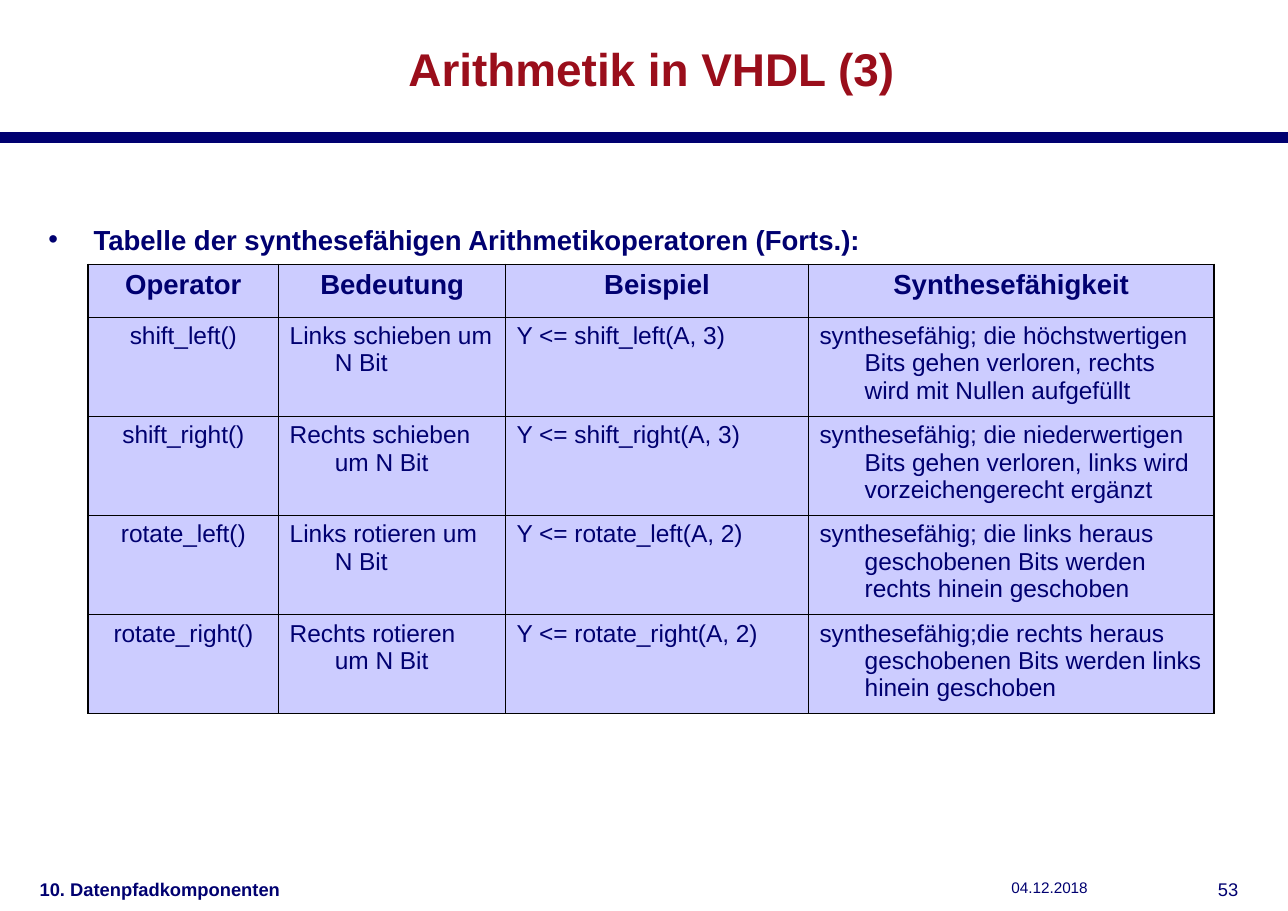
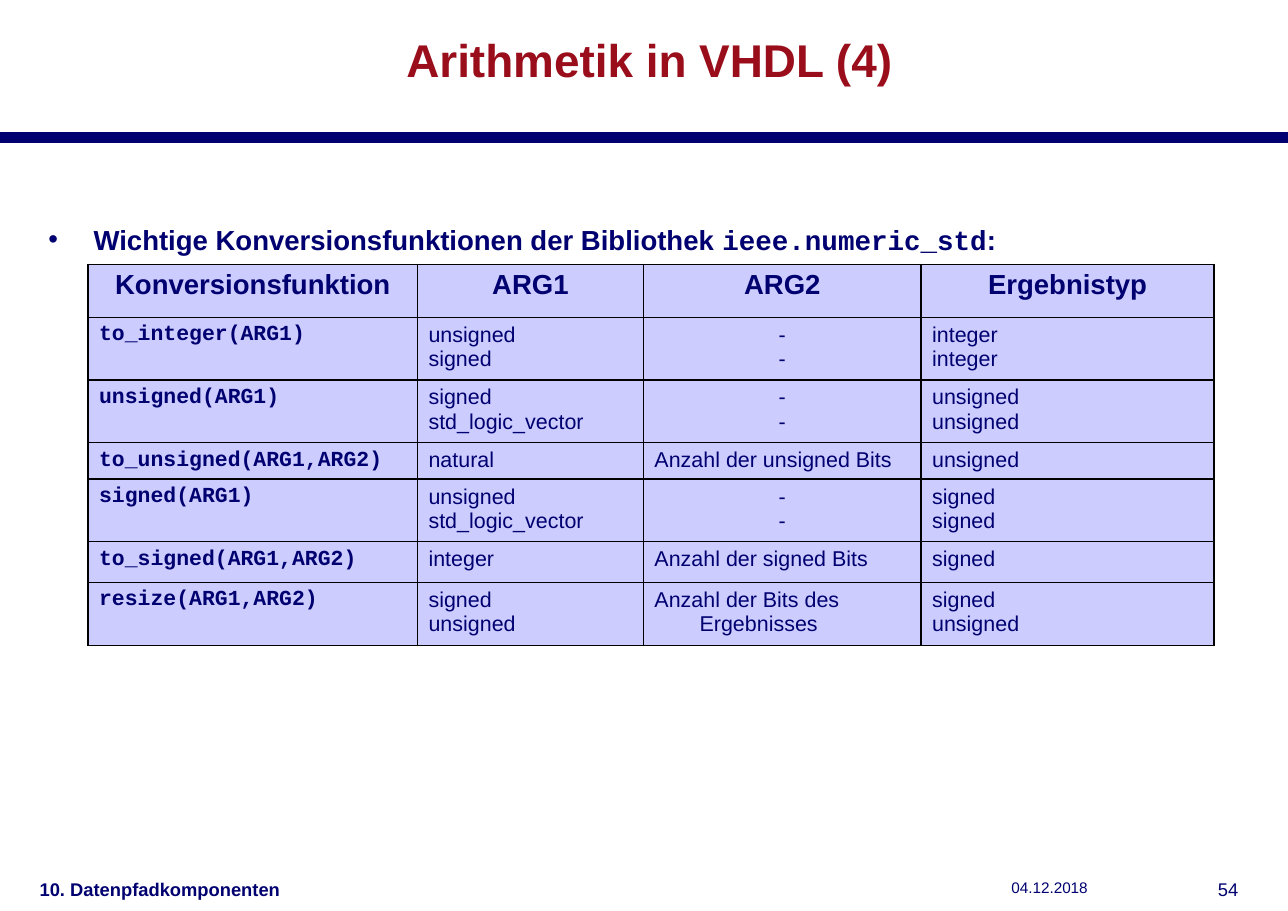
from dataclasses import dataclass

from lxml import etree
from pptx import Presentation
from pptx.dml.color import RGBColor
from pptx.enum.shapes import MSO_CONNECTOR
from pptx.enum.text import MSO_ANCHOR, MSO_AUTO_SIZE, PP_ALIGN
from pptx.oxml.ns import qn
from pptx.util import Inches, Pt

LEFT, CENTER, RIGHT = PP_ALIGN.LEFT, PP_ALIGN.CENTER, PP_ALIGN.RIGHT
TOP, MIDDLE = MSO_ANCHOR.TOP, MSO_ANCHOR.MIDDLE
NO_AUTOFIT = MSO_AUTO_SIZE.NONE
STRAIGHT = MSO_CONNECTOR.STRAIGHT

COLORS = {"navy": "000070", "title": "9A0E1B", "cell": "CCCCFF", "border": "000000"}
SANS, MONO = "Arial", "Courier New"
SLIDE_W, SLIDE_H = Inches(11.69), Inches(8.27)
HANGING = Inches(0.41)
BAND_Y = 15.11
HEADER_ROW = 5.8
TITLE_ONLY = 5


@dataclass(frozen=True)
class Box:
    """Position and size in percent of the slide."""
    left: float
    top: float
    width: float
    height: float


@dataclass(frozen=True)
class Style:
    size: float
    bold: bool = False
    face: str = SANS
    color: str = "navy"
    align: int = LEFT


@dataclass(frozen=True)
class Lesson:
    """One slide: title, heading (text, face) parts and an operator table."""
    title: str
    title_left: float
    title_top: float
    heading: list[tuple[str, str]]
    columns: list[float]
    row_heights: list[float]
    names: Style
    body: Style
    header: list[str]
    rows: list[list[str]]


TITLE_STYLE = Style(30, bold=True, color="title", align=CENTER)
HEADING_STYLE = Style(18, bold=True)
HEADER_STYLE = Style(18, bold=True, align=CENTER)
HEADING_BOX = Box(2.82, 23.34, 95.55, 9.55)
TABLE_LEFT, TABLE_TOP = 6.84, 29.02

FOOTER = [
    (Box(77.59, 95.77, 14.11, 4.23), "04.12.2018", Style(10)),
    (Box(2.14, 95.77, 28.31, 4.23), "10. Datenpfadkomponenten", Style(12, bold=True)),
]
PAGE_BOX, PAGE_STYLE, FIRST_PAGE = Box(93.07, 95.77, 4.02, 4.23), Style(12, align=RIGHT), 53

LESSONS = [
    Lesson(
        "Arithmetik in VHDL (3)", 2.82, 3.39,
        [("Tabelle der synthesefähigen Arithmetikoperatoren (Forts.):", SANS)],
        columns=[14.8, 17.62, 23.52, 31.48],
        row_heights=[10.88] * 4,
        names=Style(16, align=CENTER),
        body=Style(16),
        header=["Operator", "Bedeutung", "Beispiel", "Synthesefähigkeit"],
        rows=[
            ["shift_left()", "Links schieben um N Bit", "Y <= shift_left(A, 3)",
             "synthesefähig; die höchstwertigen Bits gehen verloren, "
             "rechts wird mit Nullen aufgefüllt"],
            ["shift_right()", "Rechts schieben um N Bit", "Y <= shift_right(A, 3)",
             "synthesefähig; die niederwertigen Bits gehen verloren, "
             "links wird vorzeichengerecht ergänzt"],
            ["rotate_left()", "Links rotieren um N Bit", "Y <= rotate_left(A, 2)",
             "synthesefähig; die links heraus geschobenen Bits werden "
             "rechts hinein geschoben"],
            ["rotate_right()", "Rechts rotieren um N Bit", "Y <= rotate_right(A, 2)",
             "synthesefähig;die rechts heraus geschobenen Bits werden "
             "links hinein geschoben"],
        ],
    ),
    Lesson(
        "Arithmetik in VHDL (4)", 2.65, 2.42,
        [("Wichtige Konversionsfunktionen der Bibliothek ", SANS),
         ("ieee.numeric_std", MONO), (":", SANS)],
        columns=[25.58, 17.54, 21.56, 22.75],
        row_heights=[6.89, 6.89, 3.99, 6.89, 4.47, 6.89],
        names=Style(14, bold=True, face=MONO),
        body=Style(14),
        header=["Konversionsfunktion", "ARG1", "ARG2", "Ergebnistyp"],
        rows=[
            ["to_integer(ARG1)", "unsigned\nsigned", "-\n-", "integer\ninteger"],
            ["unsigned(ARG1)", "signed\nstd_logic_vector", "-\n-", "unsigned\nunsigned"],
            ["to_unsigned(ARG1,ARG2)", "natural", "Anzahl der unsigned Bits", "unsigned"],
            ["signed(ARG1)", "unsigned\nstd_logic_vector", "-\n-", "signed\nsigned"],
            ["to_signed(ARG1,ARG2)", "integer", "Anzahl der signed Bits", "signed"],
            ["resize(ARG1,ARG2)", "signed\nunsigned", "Anzahl der Bits des Ergebnisses",
             "signed\nunsigned"],
        ],
    ),
]


def across(percent: float) -> int:
    return round(SLIDE_W * percent / 100)


def down(percent: float) -> int:
    return round(SLIDE_H * percent / 100)


def place(box: Box) -> tuple[int, int, int, int]:
    return across(box.left), down(box.top), across(box.width), down(box.height)


def rgb(name: str) -> RGBColor:
    return RGBColor.from_string(COLORS[name])


# Text
def format_paragraph(paragraph, style: Style) -> None:
    paragraph.alignment = style.align
    paragraph.font.size = Pt(style.size)
    paragraph.font.bold = style.bold
    paragraph.font.name = style.face
    paragraph.font.color.rgb = rgb(style.color)


def hang(paragraph, bullet: str = "") -> None:
    properties = paragraph._p.get_or_add_pPr()
    properties.set("marL", str(HANGING))
    properties.set("indent", str(-HANGING))
    if bullet:
        etree.SubElement(properties, qn("a:buFont"), typeface=SANS)
        etree.SubElement(properties, qn("a:buChar"), char=bullet)


def set_frame(frame, anchor: int = TOP) -> None:
    frame.word_wrap = True
    frame.auto_size = NO_AUTOFIT
    frame.vertical_anchor = anchor
    frame.margin_left = frame.margin_right = Inches(0.11)
    frame.margin_top = frame.margin_bottom = Inches(0.05)


def add_label(slide, box: Box, text: str, style: Style) -> None:
    frame = slide.shapes.add_textbox(*place(box)).text_frame
    set_frame(frame)
    frame.text = text
    format_paragraph(frame.paragraphs[0], style)


# Shared parts: title, band, footer
def add_title(slide, lesson: Lesson) -> None:
    title = slide.shapes.title
    title.left, title.top, title.width, title.height = place(
        Box(lesson.title_left, lesson.title_top, 95.55, 8.22))
    set_frame(title.text_frame, MIDDLE)
    title.text_frame.text = lesson.title
    format_paragraph(title.text_frame.paragraphs[0], TITLE_STYLE)


def add_band(slide) -> None:
    band = slide.shapes.add_connector(STRAIGHT, 0, down(BAND_Y), SLIDE_W, down(BAND_Y))
    band.line.color.rgb = rgb("navy")
    band.line.width = Pt(7.09)
    etree.SubElement(band.element.spPr, qn("a:effectLst"))


def add_footer(slide, page: int) -> None:
    for box, text, style in FOOTER:
        add_label(slide, box, text, style)
    add_label(slide, PAGE_BOX, str(page), PAGE_STYLE)


# Heading above the table
def add_heading(slide, parts: list[tuple[str, str]]) -> None:
    frame = slide.shapes.add_textbox(*place(HEADING_BOX)).text_frame
    set_frame(frame)
    frame.margin_top = Inches(0.09)
    paragraph = frame.paragraphs[0]
    hang(paragraph, "•")
    format_paragraph(paragraph, HEADING_STYLE)
    for text, face in parts:
        run = paragraph.add_run()
        run.text = text
        if face != HEADING_STYLE.face:
            run.font.name = face


# Table
def fill_cell(cell, text: str, style: Style) -> None:
    properties = cell._tc.get_or_add_tcPr()
    for side in ("a:lnL", "a:lnR", "a:lnT", "a:lnB"):
        border = etree.SubElement(properties, qn(side), w=str(Pt(1)))
        paint = etree.SubElement(border, qn("a:solidFill"))
        etree.SubElement(paint, qn("a:srgbClr"), val=COLORS["border"])
    cell.fill.solid()
    cell.fill.fore_color.rgb = rgb("cell")
    cell.text = text
    for paragraph in cell.text_frame.paragraphs:
        hang(paragraph)
        format_paragraph(paragraph, style)
        if paragraph.text == "-":
            paragraph.alignment = CENTER


def add_operator_table(slide, lesson: Lesson) -> None:
    heights = [HEADER_ROW, *lesson.row_heights]
    box = Box(TABLE_LEFT, TABLE_TOP, sum(lesson.columns), sum(heights))
    table = slide.shapes.add_table(len(heights), len(lesson.columns), *place(box)).table
    table.first_row = table.horz_banding = False
    for column, width in zip(table.columns, lesson.columns):
        column.width = across(width)
    for row, height in zip(table.rows, heights):
        row.height = down(height)
    for r, texts in enumerate([lesson.header, *lesson.rows]):
        for c, text in enumerate(texts):
            style = HEADER_STYLE if r == 0 else lesson.names if c == 0 else lesson.body
            fill_cell(table.cell(r, c), text, style)


def main() -> None:
    deck = Presentation()
    deck.slide_width, deck.slide_height = SLIDE_W, SLIDE_H
    for page, lesson in enumerate(LESSONS, FIRST_PAGE):
        slide = deck.slides.add_slide(deck.slide_layouts[TITLE_ONLY])
        add_band(slide)
        add_footer(slide, page)
        add_title(slide, lesson)
        add_heading(slide, lesson.heading)
        add_operator_table(slide, lesson)
    deck.save("out.pptx")


if __name__ == "__main__":
    main()
